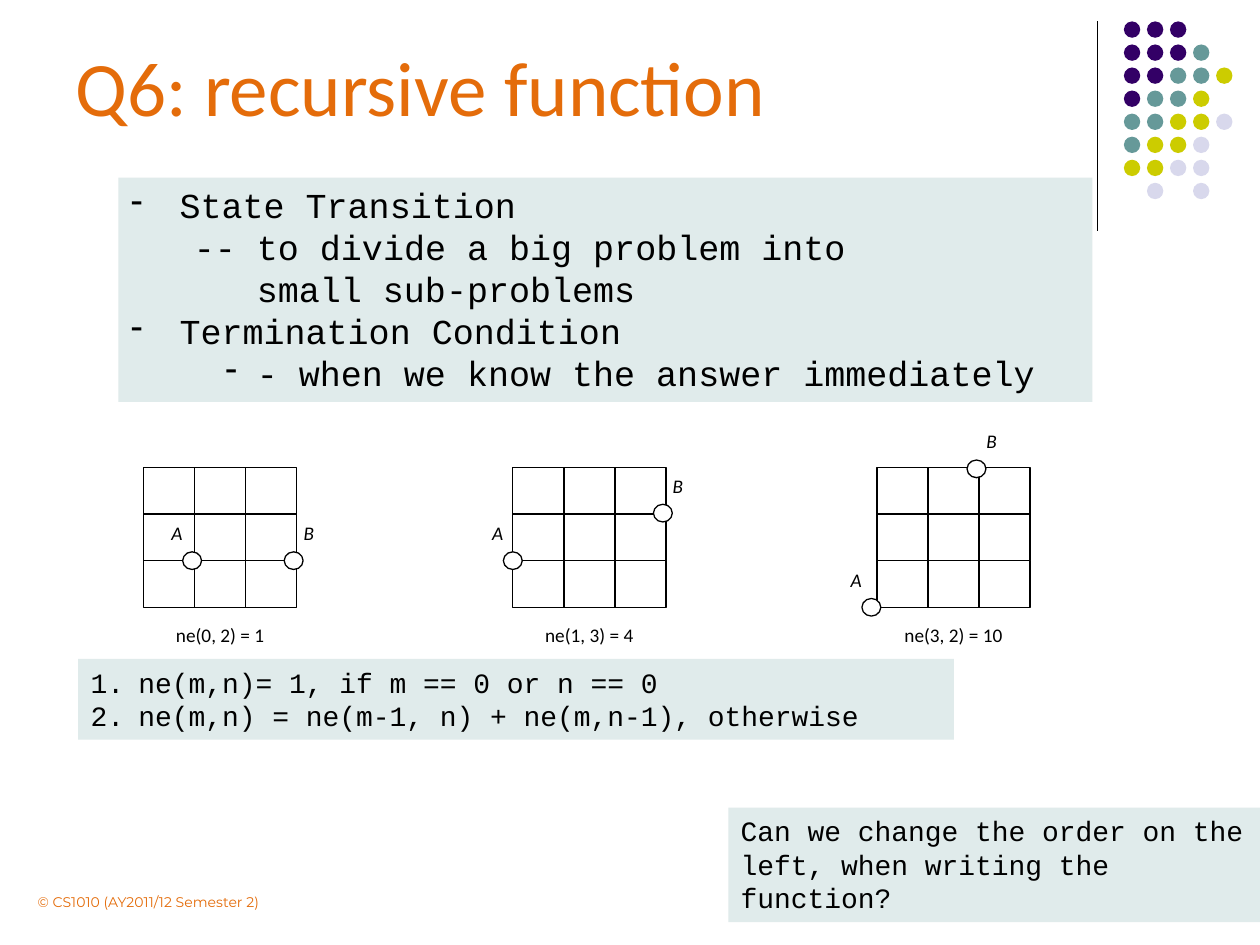
from lxml import etree
from pptx import Presentation
from pptx import util as u
from pptx.dml.color import RGBColor
from pptx.enum import shapes as kinds, text
from pptx.oxml.ns import qn

BLACK = RGBColor(0x00, 0x00, 0x00)
WHITE = RGBColor(0xFF, 0xFF, 0xFF)
ORANGE = RGBColor(0xE4, 0x6C, 0x0A)
PALE_TEAL = RGBColor(0xE0, 0xEB, 0xEB)
DOT_COLOURS = {
    "P": RGBColor(0x33, 0x00, 0x66),
    "T": RGBColor(0x66, 0x99, 0x99),
    "Y": RGBColor(0xCC, 0xCC, 0x00),
    "L": RGBColor(0xD8, 0xD8, 0xEC),
}
DOT_ROWS = ["PPP", "PPPT", "PPTTY", "PTTY", "TTYYL", "TYYL", "YYLL", " L L"]
DOT_PITCH, DOT_SIZE = 0.183, 0.13

GRID_TOP, GRID_COUNT = 3.71, 3
CELL_W, CELL_H = 0.405, 0.37
NODE_W, NODE_H = 0.15, 0.14
# Where each label box starts, measured from its node's corner
LABEL_SHIFT = {"A": (-0.27, -0.29), "B": (-0.03, -0.29)}
# Grid left, caption, caption width, node places in columns and rows
DIAGRAMS = [
    (1.14, "ne(0, 2) = 1", 1.47, {"A": (0.95, 2), "B": (2.94, 2)}),
    (4.07, "ne(1, 3) = 4", 1.47, {"A": (0, 2), "B": (2.94, 0.98)}),
    (6.96, "ne(3, 2) = 10", 1.74, {"A": (-0.11, 3), "B": (1.95, 0.03)}),
]


def inches(*lengths):
    return [u.Inches(length) for length in lengths]


def add_figure(shapes, kind, box, fill, outlined=False):
    figure = shapes.add_shape(kind, *inches(*box))
    figure.shadow.inherit = False
    figure.fill.solid()
    figure.fill.fore_color.rgb = fill
    if outlined:
        figure.line.color.rgb = BLACK
        figure.line.width = u.Pt(0.75)
    else:
        figure.line.fill.background()
    return figure


def set_font(paragraph, name, size, colour=BLACK, italic=None):
    font = paragraph.font
    font.name, font.size, font.italic = name, u.Pt(size), italic
    font.color.rgb = colour


def add_label(shapes, words, box, size, name="Calibri", colour=BLACK,
              italic=None, centred=False, anchor=text.MSO_ANCHOR.TOP):
    frame = shapes.add_textbox(*inches(*box)).text_frame
    frame.word_wrap = True
    frame.vertical_anchor = anchor
    paragraph = frame.paragraphs[0]
    paragraph.text = words
    if centred:
        paragraph.alignment = text.PP_ALIGN.CENTER
        paragraph.space_after = u.Pt(10)
    set_font(paragraph, name, size, colour, italic)


def set_bullet(paragraph, bullet, margin, indent):
    """Give a hanging bullet: a character, or "1." for automatic numbers."""
    props = paragraph._p.get_or_add_pPr()
    props.set("marL", str(u.Inches(margin)))
    props.set("indent", str(u.Inches(indent)))
    if bullet == "1.":
        etree.SubElement(props, qn("a:buAutoNum"), type="arabicPeriod")
    else:
        etree.SubElement(props, qn("a:buFontTx"))
        etree.SubElement(props, qn("a:buChar"), char=bullet)


def add_code_panel(shapes, box, size, lines):
    """Add a tinted panel; each line is its words and an optional bullet."""
    panel = add_figure(shapes, kinds.MSO_SHAPE.RECTANGLE, box, PALE_TEAL)
    frame = panel.text_frame
    frame.word_wrap = True
    frame.vertical_anchor = text.MSO_ANCHOR.TOP
    for index, (words, bullet) in enumerate(lines):
        paragraph = frame.add_paragraph() if index else frame.paragraphs[0]
        paragraph.text = words
        paragraph.alignment = text.PP_ALIGN.LEFT
        if bullet:
            set_bullet(paragraph, *bullet)
        set_font(paragraph, "Courier New", size)


def add_corner_ornament(shapes):
    rule = shapes.add_connector(kinds.MSO_CONNECTOR.STRAIGHT,
                                *inches(8.71, 0.17, 8.71, 1.83))
    rule.line.color.rgb = BLACK
    rule.line.width = u.Pt(0.75)
    etree.SubElement(rule._element.spPr, qn("a:effectLst"))
    dots = shapes.add_group_shape().shapes
    for row, codes in enumerate(DOT_ROWS):
        for column, code in enumerate(codes):
            if code in DOT_COLOURS:
                box = (8.92 + column * DOT_PITCH, 0.17 + row * DOT_PITCH,
                       DOT_SIZE, DOT_SIZE)
                add_figure(dots, kinds.MSO_SHAPE.OVAL, box, DOT_COLOURS[code])


def add_path_diagram(shapes, left, caption, caption_width, nodes):
    parts = shapes.add_group_shape().shapes
    for row in range(GRID_COUNT):
        for column in range(GRID_COUNT):
            cell = (left + column * CELL_W, GRID_TOP + row * CELL_H,
                    CELL_W, CELL_H)
            add_figure(parts, kinds.MSO_SHAPE.RECTANGLE, cell, WHITE, True)
    middle = left + GRID_COUNT * CELL_W / 2
    add_label(parts, caption,
              (middle - caption_width / 2, 4.9, caption_width, 0.43),
              11, centred=True)
    for letter, (column, row) in nodes.items():
        x = left + column * CELL_W - NODE_W / 2
        y = GRID_TOP + row * CELL_H - NODE_H / 2
        add_figure(parts, kinds.MSO_SHAPE.OVAL, (x, y, NODE_W, NODE_H),
                   WHITE, True)
        dx, dy = LABEL_SHIFT[letter]
        add_label(parts, letter, (x + dx, y + dy, 0.45, 0.43), 11,
                  italic=True, centred=True)


def main():
    deck = Presentation()
    deck.slide_width, deck.slide_height = inches(10, 7.5)
    shapes = deck.slides.add_slide(deck.slide_layouts[6]).shapes

    add_corner_ornament(shapes)
    add_label(shapes, "Q6: recursive function", (0.5, 0.25, 9, 0.86), 44,
              colour=ORANGE, anchor=text.MSO_ANCHOR.MIDDLE)
    add_label(shapes, "© CS1010 (AY2011/12 Semester 2)",
              (0.2, 7.04, 2.75, 0.24), 8, "Montserrat", ORANGE)

    dash, number = ("-", 0.22, -0.25), ("1.", 0.38, -0.38)
    add_code_panel(shapes, (0.94, 1.41, 7.73, 1.78), 20, [
        (" State Transition", dash),
        ("\t-- to divide a big problem into", None),
        ("\t\tsmall sub-problems", None),
        (" Termination Condition", dash),
        ("- when we know the answer immediately", ("-", 1, -0.25)),
    ])
    for diagram in DIAGRAMS:
        add_path_diagram(shapes, *diagram)
    add_code_panel(shapes, (0.62, 5.23, 6.95, 0.64), 16, [
        ("ne(m,n)= 1, if m == 0 or n == 0", number),
        ("ne(m,n) = ne(m-1, n) + ne(m,n-1), otherwise", number),
    ])
    add_code_panel(shapes, (5.78, 6.41, 4.22, 0.91), 16, [
        ("Can we change the order on the left, when writing the function?",
         None),
    ])
    deck.save("out.pptx")


if __name__ == "__main__":
    main()
